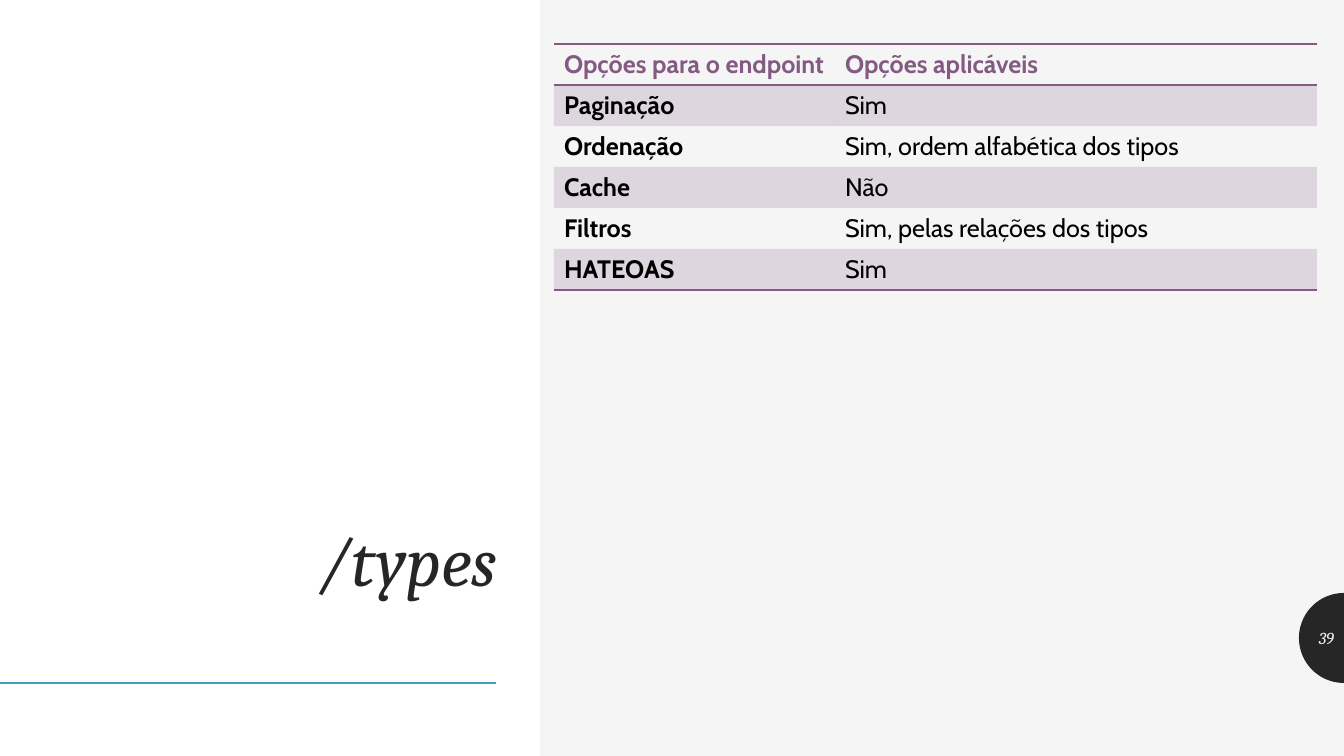
from dataclasses import dataclass
from math import cos, pi, sin

from lxml.etree import SubElement
from pptx import Presentation
from pptx.dml.color import RGBColor
from pptx.enum.shapes import MSO_CONNECTOR, MSO_SHAPE
from pptx.enum.text import MSO_ANCHOR, PP_ALIGN
from pptx.oxml import parse_xml
from pptx.oxml.ns import nsdecls, qn
from pptx.util import Emu, Pt

SLIDE_WIDTH, SLIDE_HEIGHT = 1344, 756
EMU_PER_PX = 12192000 / SLIDE_WIDTH
INK, PAPER, WHITE, BLACK = "262626", "F5F5F5", "FFFFFF", "000000"
PLUM, TEAL = "835B82", "439EB7"
NO_TABLE_STYLE = "{2D5ABB26-0587-4C30-8999-92F81FD0307C}"


@dataclass(frozen=True)
class Label:
    text: str
    box: tuple[int, int, int, int]
    size: int
    color: str
    anchor: MSO_ANCHOR
    line_spacing: float = 1.0


@dataclass(frozen=True)
class Option:
    name: str
    value: str


LABELS = [
    Label("/types", (51, 61, 456, 546), 50, INK, MSO_ANCHOR.BOTTOM, 0.9),
    Label("39", (1299, 618, 45, 40), 12, PAPER, MSO_ANCHOR.MIDDLE),
]
OPTIONS = [
    Option("Opções para o endpoint", "Opções aplicáveis"),
    Option("Paginação", "Sim"),
    Option("Ordenação", "Sim, ordem alfabética dos tipos"),
    Option("Cache", "Não"),
    Option("Filtros", "Sim, pelas relações dos tipos"),
    Option("HATEOAS", "Sim"),
]
TABLE_LEFT, TABLE_TOP, ROW_HEIGHT = 554, 44, 41
COLUMN_WIDTHS = (281, 482)


def px(length: float) -> Emu:
    return Emu(round(length * EMU_PER_PX))


def rgb(color: str) -> RGBColor:
    return RGBColor.from_string(color)


def paint(shape, color: str) -> None:
    shape.shadow.inherit = False
    shape.fill.solid()
    shape.fill.fore_color.rgb = rgb(color)
    shape.line.fill.background()


def add_panel(slide) -> None:
    panel = slide.shapes.add_shape(MSO_SHAPE.RECTANGLE, 0, 0, px(540), px(SLIDE_HEIGHT))
    paint(panel, WHITE)


def add_rule(slide) -> None:
    rule = slide.shapes.add_connector(MSO_CONNECTOR.STRAIGHT, 0, px(683), px(496), px(683))
    rule.line.color.rgb = rgb(TEAL)
    rule.line.width = Pt(2)
    SubElement(rule._element.spPr, qn("a:effectLst"))


def add_page_badge(slide, center_y: int = 638, radius: int = 45, steps: int = 48) -> None:
    """Draw a half disc against the right edge of the slide."""
    angles = [pi * step / steps for step in range(steps + 1)]
    arc = [(px(SLIDE_WIDTH - radius * sin(a)), px(center_y - radius * cos(a))) for a in angles]
    outline = slide.shapes.build_freeform(*arc[0])
    outline.add_line_segments(arc[1:], close=True)
    paint(outline.convert_to_shape(), INK)


def add_label(slide, label: Label) -> None:
    frame = slide.shapes.add_textbox(*map(px, label.box)).text_frame
    frame.word_wrap = True
    frame.vertical_anchor = label.anchor
    paragraph = frame.paragraphs[0]
    paragraph.alignment = PP_ALIGN.RIGHT
    paragraph.line_spacing = label.line_spacing
    run = paragraph.add_run()
    run.text = label.text
    run.font.name = "Cambria"
    run.font.size = Pt(label.size)
    run.font.italic = True
    run.font.color.rgb = rgb(label.color)


def set_borders(cell, sides: str) -> None:
    """Draw the given sides, T before B, as thin plum lines."""
    for index, side in enumerate(sides):
        border = parse_xml(
            f'<a:ln{side} {nsdecls("a")} w="12700"><a:solidFill>'
            f'<a:srgbClr val="{PLUM}"/></a:solidFill></a:ln{side}>'
        )
        cell._tc.get_or_add_tcPr().insert(index, border)


def fill_cell(cell, text: str, bold: bool, color: str, banded: bool) -> None:
    run = cell.text_frame.paragraphs[0].add_run()
    run.text = text
    run.font.name = "Cabin"
    run.font.size = Pt(18)
    run.font.bold = bold
    run.font.color.rgb = rgb(color)
    if banded:
        cell.fill.solid()
        cell.fill.fore_color.rgb = rgb(PLUM)
        tint = cell._tc.tcPr.find(f".//{qn('a:srgbClr')}")
        SubElement(tint, qn("a:alpha")).set("val", "20000")
    else:
        cell.fill.background()


def add_options_table(slide) -> None:
    frame = slide.shapes.add_table(
        len(OPTIONS), len(COLUMN_WIDTHS), px(TABLE_LEFT), px(TABLE_TOP),
        px(sum(COLUMN_WIDTHS)), px(ROW_HEIGHT * len(OPTIONS)),
    )
    table = frame.table
    table._tbl.tblPr.find(qn("a:tableStyleId")).text = NO_TABLE_STYLE
    for column, width in zip(table.columns, COLUMN_WIDTHS):
        column.width = px(width)
    borders = {0: "TB", len(OPTIONS) - 1: "B"}
    for row, option in enumerate(OPTIONS):
        table.rows[row].height = px(ROW_HEIGHT)
        header = row == 0
        for column, text in enumerate((option.name, option.value)):
            cell = table.cell(row, column)
            fill_cell(cell, text, header or column == 0, PLUM if header else BLACK, row % 2 == 1)
            set_borders(cell, borders.get(row, ""))


def main() -> None:
    deck = Presentation()
    deck.slide_width, deck.slide_height = px(SLIDE_WIDTH), px(SLIDE_HEIGHT)
    slide = deck.slides.add_slide(deck.slide_layouts[6])
    slide.background.fill.solid()
    slide.background.fill.fore_color.rgb = rgb(PAPER)
    add_page_badge(slide)
    add_panel(slide)
    add_rule(slide)
    for label in LABELS:
        add_label(slide, label)
    add_options_table(slide)
    deck.save("out.pptx")


if __name__ == "__main__":
    main()
